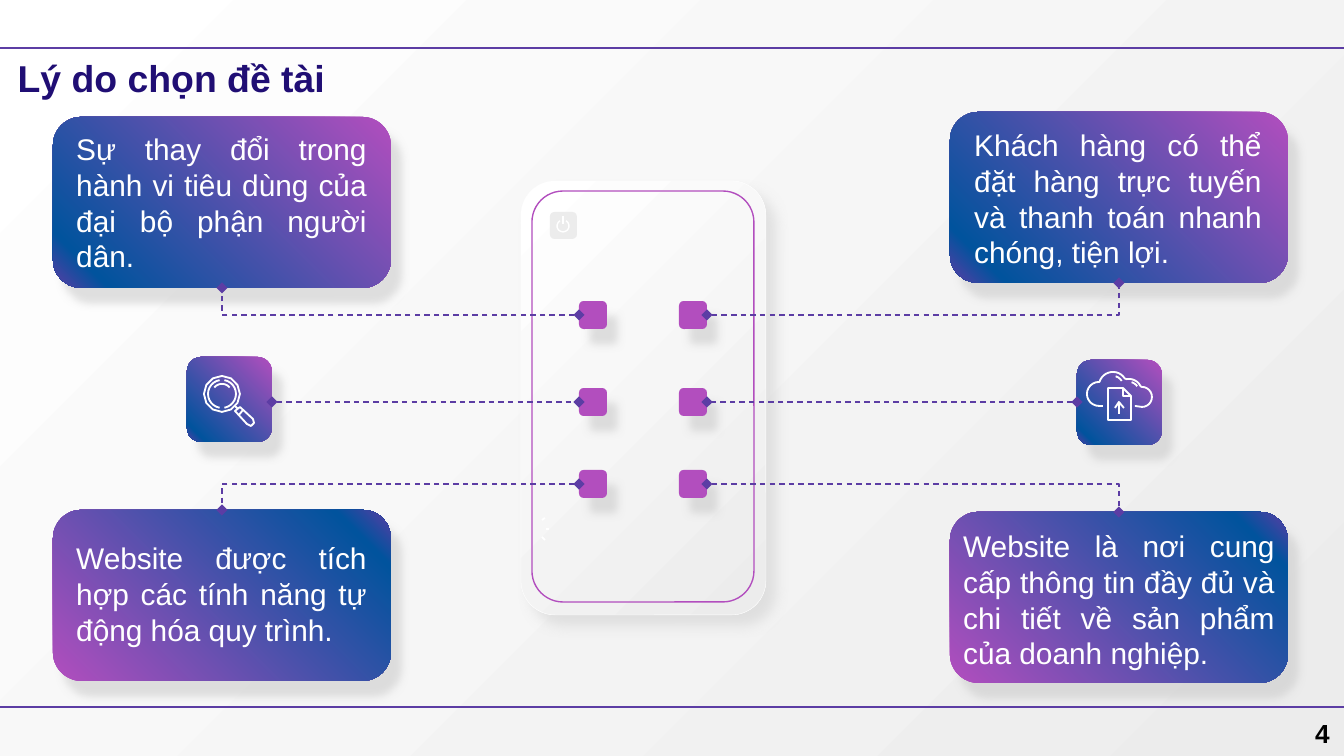
from math import cos, radians, sin

from lxml.etree import SubElement
from pptx import Presentation
from pptx.dml.color import RGBColor
from pptx.enum.dml import MSO_LINE_DASH_STYLE as DASH
from pptx.enum.shapes import MSO_CONNECTOR as LINK, MSO_SHAPE as SHAPE
from pptx.enum.text import MSO_ANCHOR as ANCHOR, MSO_AUTO_SIZE as FIT, PP_ALIGN as ALIGN
from pptx.oxml.ns import qn
from pptx.util import Pt

PX = 914400 / 134.4
COLORS = {
    "white": "FFFFFF", "pale": "ECECEC", "shadow": "CCCCCC", "title": "200E74",
    "purple": "5C3DA4", "pink": "B24EBE", "blue": "01539D", "black": "000000",
}
PAPER = [(0, "white"), (100, "pale")]
VIVID = [(0, "pink"), (89, "blue"), (100, "purple")]
TOP, LEFT, BOTTOM, RIGHT = range(4)  # connection sites of a rounded rectangle


def px(*lengths):
    return [round(length * PX) for length in lengths]


def rgb(name):
    return RGBColor.from_string(COLORS[name])


def arc(x, y, radius, start, end):
    """Points along an arc, with angles clockwise from the right."""
    steps = 12
    angles = [radians(start + (end - start) * i / steps) for i in range(steps + 1)]
    return [(x + radius * cos(a), y + radius * sin(a)) for a in angles]


def gradient(fill, element, stops, angle):
    """Fill with (percent, colour) stops; the angle runs clockwise."""
    fill.gradient()
    fill.gradient_angle = 360 - angle
    stop_list = next(element.iter(qn("a:gsLst")))
    for old in list(stop_list):
        stop_list.remove(old)
    for percent, color in stops:
        stop = SubElement(stop_list, qn("a:gs"), pos=str(percent * 1000))
        SubElement(stop, qn("a:srgbClr"), val=COLORS[color])


class Painter:
    font = "Arial"

    def __init__(self, page):
        self.page = page
        self.shapes = page.shapes

    def background(self):
        gradient(self.page.background.fill, self.page.element, PAPER, 45)

    def format_text(self, box, text, size, color, align, bold=False):
        frame = box.text_frame
        frame.text = text
        para = frame.paragraphs[0]
        para.alignment = align
        para.font.name, para.font.size, para.font.bold = self.font, Pt(size), bold
        para.font.color.rgb = rgb(color)
        return frame

    def title(self, text, *bounds):
        box = self.shapes.title
        box.left, box.top, box.width, box.height = px(*bounds)
        frame = self.format_text(box, text, 20, "title", ALIGN.CENTER, True)
        frame.auto_size, frame.vertical_anchor = FIT.NONE, ANCHOR.MIDDLE
        frame.margin_left = frame.margin_right = px(13)[0]
        frame.margin_top = frame.margin_bottom = px(13)[0]

    def text(self, text, bounds, size=16, color="white", align=ALIGN.JUSTIFY, bold=False, wrap=True):
        box = self.shapes.add_textbox(*px(*bounds))
        self.format_text(box, text, size, color, align, bold).word_wrap = wrap

    def rounded(self, bounds, fill=None, angle=135, line=None, width=0.75, radius=0.167, shadow=None):
        """Fill is a colour name or a list of stops; shadow is (blur, distance, angle, alpha)."""
        box = self.shapes.add_shape(SHAPE.ROUNDED_RECTANGLE, *px(*bounds))
        box.adjustments[0] = radius
        if fill is None:
            box.fill.background()
        elif isinstance(fill, str):
            box.fill.solid()
            box.fill.fore_color.rgb = rgb(fill)
        else:
            gradient(box.fill, box.element, fill, angle)
        if line:
            box.line.color.rgb = rgb(line)
            box.line.width = Pt(width)
        else:
            box.line.fill.background()
        box.shadow.inherit = False
        if shadow:
            blur, distance, direction, alpha = shadow
            effects = box.element.spPr.find(qn("a:effectLst"))
            outer = SubElement(
                effects, qn("a:outerShdw"), blurRad=str(Pt(blur)), dist=str(Pt(distance)),
                dir=str(direction * 60000), algn="bl", rotWithShape="0")
            tint = SubElement(outer, qn("a:srgbClr"), val=COLORS["shadow"])
            SubElement(tint, qn("a:alpha"), val=str(alpha * 1000))
        return box

    def tile(self, bounds, fill=VIVID, angle=135):
        return self.rounded(bounds, fill, angle, shadow=(4.5, 9.8, 55, 60))

    def line(self, start, end, color="purple", width=0.75, kind=LINK.STRAIGHT):
        link = self.shapes.add_connector(kind, *px(*start, *end))
        link.line.color.rgb = rgb(color)
        link.line.width = Pt(width)
        SubElement(link.element.spPr, qn("a:effectLst"))
        return link

    def dashed(self, start, end, kind=LINK.STRAIGHT):
        link = self.line(start, end, kind=kind)
        link.line.dash_style = DASH.DASH
        for tag in ("a:headEnd", "a:tailEnd"):
            SubElement(link.line._get_or_add_ln(), qn(tag), type="diamond")
        return link

    def elbow(self, square, square_site, card, card_site):
        """One-bend link that leaves the square sideways and meets the card."""
        link = self.dashed((0, 0), (1, 1), LINK.ELBOW)
        link.begin_connect(square, square_site)
        link.end_connect(card, card_site)
        link.element.spPr.find(qn("a:prstGeom")).set("prst", "bentConnector2")

    def stroke(self, points, close=False, width=1):
        """White outline through points, kept to a tenth of a px."""
        (x, y), *rest = [(a * 10, b * 10) for a, b in points]
        builder = self.shapes.build_freeform(x, y, scale=PX / 10)
        builder.add_line_segments(rest, close=close)
        outline = builder.convert_to_shape()
        outline.fill.background()
        outline.line.color.rgb = rgb("white")
        outline.line.width = Pt(width)
        outline.shadow.inherit = False

    def phone(self):
        self.rounded((521, 181, 245, 434), PAPER, 45, "white", 0.18, 0.14, (6.8, 7.5, 47, 50))
        self.rounded((532, 191, 222, 411), line="pink", radius=0.14)
        self.rounded((550, 212, 27, 27), "pale")
        self.stroke(arc(563, 226, 6, -60, 240), width=0.75)
        self.line((563, 224), (563, 216), "white")
        for start, end in [((542, 537), (545, 540)), ((542, 520), (545, 518)), ((546, 529), (549, 529))]:
            self.line(start, end, "white", 1)

    def magnifier(self):
        x, y = 222, 394
        self.stroke(arc(x, y, 18, 0, 360) [:-1], close=True)
        for radius, start, end in [(14, -80, 80), (14, 100, 260), (10, 220, 320)]:
            self.stroke(arc(x, y, radius, start, end))
        self.stroke([(235, 411), (240, 407), (253, 419), (254, 423), (251, 426), (247, 424)], close=True)
        self.stroke([(239, 415), (243, 410)])
        self.stroke([(235, 406), (238, 409)])

    def cloud_upload(self):
        self.stroke([(1103, 406), *arc(1099, 394, 12, 90, 270), *arc(1113, 386, 14, 197, 328),
                     *arc(1129, 392, 13, 260, 335), *arc(1142, 397, 10, 270, 450), (1135, 406)])
        self.stroke(arc(1113, 386, 10, 285, 330))
        self.stroke(arc(1129, 392, 10, 285, 325))
        self.stroke([(1108, 388), (1123, 388), (1131, 396), (1131, 420), (1108, 420)], close=True)
        self.stroke([(1123, 388), (1123, 396), (1131, 396)])
        self.stroke([(1119, 414), (1119, 402)])
        self.stroke([(1115, 408), (1119, 402), (1124, 408)])


def main():
    deck = Presentation()
    deck.slide_width, deck.slide_height = px(1344, 756)
    painter = Painter(deck.slides.add_slide(deck.slide_layouts[5]))
    painter.background()
    for y in (48, 707):
        painter.line((0, y), (1344, y))
    painter.title("Lý do chọn đề tài", 0, 50, 343, 55)
    painter.phone()

    side, columns, rows = 28, (579, 679), (301, 388, 470)
    squares = [[painter.tile((x, y, side, side), "pink") for x in columns] for y in rows]

    # Card corner, text bounds, text; in reading order
    cards = [
        ((53, 117), (63, 124, 317, 159), "Sự thay đổi trong hành vi tiêu dùng của đại bộ phận người dân."),
        ((950, 112), (961, 120, 314, 159),
         "Khách hàng có thể đặt hàng trực tuyến và thanh toán nhanh chóng, tiện lợi."),
        ((53, 510), (63, 533, 317, 123), "Website được tích hợp các tính năng tự động hóa quy trình."),
        ((950, 512), (950, 521, 338, 159),
         "Website là nơi cung cấp thông tin đầy đủ và chi tiết về sản phẩm của doanh nghiệp."),
    ]
    for index, (corner, bounds, text) in enumerate(cards):
        lower, right = divmod(index, 2)
        card = painter.tile((*corner, 338, 171), angle=315 if lower else 135)
        painter.elbow(squares[2 * lower][right], RIGHT if right else LEFT, card, TOP if lower else BOTTOM)
        painter.text(text, bounds)

    middle = rows[1] + side // 2
    painter.tile((187, 357, 85, 85))
    painter.dashed((272, middle), (columns[0], middle))
    painter.magnifier()
    painter.tile((1077, 360, 85, 85))
    painter.dashed((1077, middle), (columns[1] + side, middle))
    painter.cloud_upload()
    painter.text("4", (1302, 711, 42, 45), 14, "black", ALIGN.LEFT, bold=True, wrap=False)
    deck.save("out.pptx")


if __name__ == "__main__":
    main()
